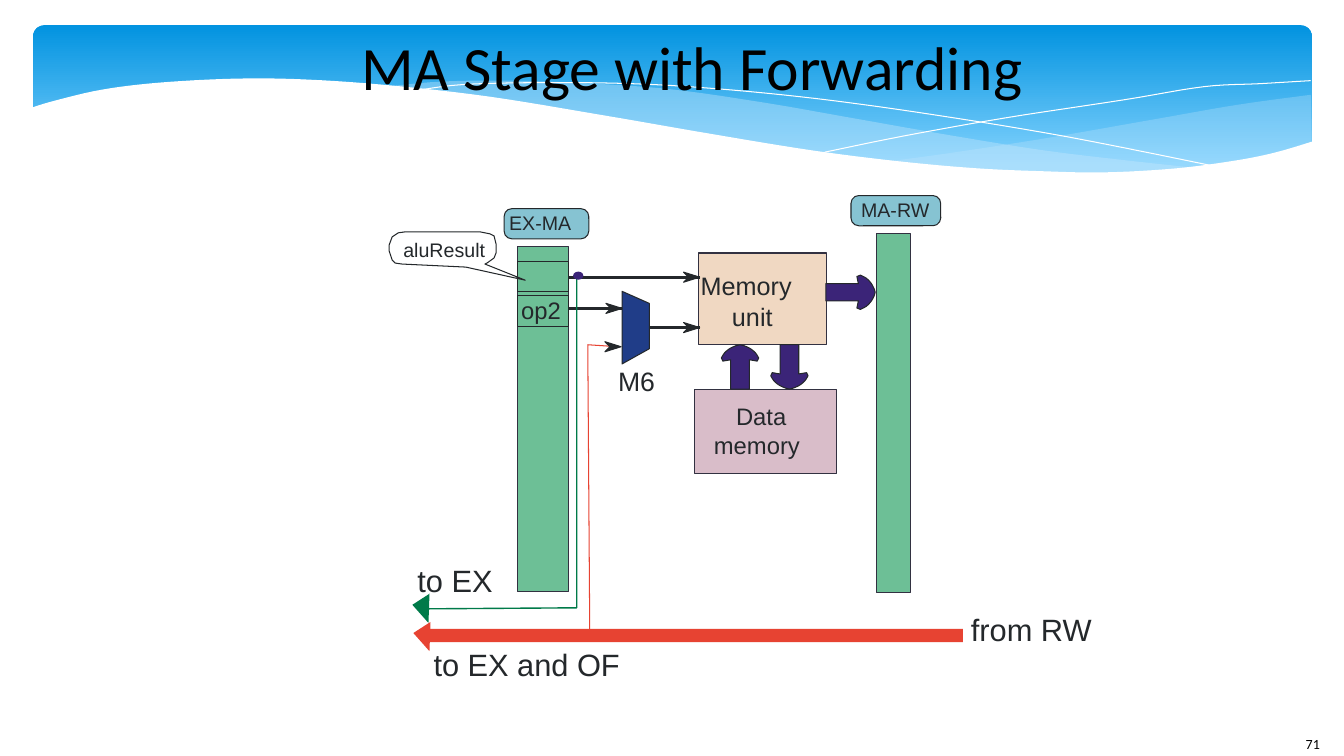
from lxml import etree
from pptx import Presentation
from pptx.dml.color import RGBColor
from pptx.enum.shapes import MSO_CONNECTOR, MSO_SHAPE
from pptx.enum.text import MSO_ANCHOR, PP_ALIGN
from pptx.oxml.ns import qn
from pptx.util import Inches, Pt

RECT, ROUND, OVAL = MSO_SHAPE.RECTANGLE, MSO_SHAPE.ROUNDED_RECTANGLE, MSO_SHAPE.OVAL
STRAIGHT = MSO_CONNECTOR.STRAIGHT
MIDDLE, CENTER = MSO_ANCHOR.MIDDLE, PP_ALIGN.CENTER

HUES = {
    "black": "000000", "white": "FFFFFF", "ink": "24282B", "edge": "323141",
    "sky": "0293E0", "pale": "83D3FE", "haze": "C6E7FC",
    "reg": "6DBF96", "tag": "86C3D2", "unit": "F0D8C2", "data": "D9BDC9",
    "violet": "3B2478", "navy": "203D88", "red": "E74332", "green": "007A49",
}

CREST = [(0, .82), (.23, .75), (.7, .64), (1.27, .57), (2.04, .53), (2.75, .54),
         (3.59, .6), (4.55, .71), (5.65, .89), (6.75, 1.08), (7.73, 1.24),
         (8.6, 1.35), (9.38, 1.42), (10.06, 1.45), (10.66, 1.46), (11.36, 1.42),
         (11.96, 1.34), (12.35, 1.26), (12.72, 1.15)]
RIGHT_TOP = [(12.69, .69), (11.96, .79), (11.16, .93), (10.07, 1.12), (9.1, 1.27),
             (8.51, 1.35)]
RIGHT_LOW = [(8.51, 1.35), (9.27, 1.42), (9.94, 1.46), (10.82, 1.47), (11.55, 1.41),
             (12.16, 1.31), (12.7, 1.17)]
MID_TOP = [(11.59, 1.42), (10.85, 1.34), (10.03, 1.24), (9.1, 1.09), (8.08, .91),
           (7.28, .77), (6.38, .64), (5.58, .58), (4.75, .55), (4.06, .56), (3.51, .61)]
MID_LOW = [(3.51, .61), (4.25, .69), (5.08, .81), (6.23, 1.01), (7.24, 1.18),
           (8.15, 1.31), (8.95, 1.4), (9.67, 1.45), (10.45, 1.48), (11.12, 1.46),
           (11.59, 1.42)]
FALL = [(3.81, .65), (4.27, .59), (5.04, .57), (5.94, .58), (6.79, .63), (7.8, .73),
        (8.96, .89), (10.29, 1.11), (11.79, 1.41)]
RISE = [(7.87, 1.26), (8.65, 1.1), (9.66, .92), (10.84, .74), (11.63, .61),
        (12.19, .58), (12.69, .55)]
# Upper half of a fat arrow: share of length, share of breadth
BARB = [(0, -.25), (.66, -.25), (.63, -.46), (.7, -.5), (.82, -.41), (.92, -.26), (.98, -.1)]
BUBBLE = [(.16, 0), (.9, 0), (1, .02), (1.04, .04), (1.06, .12), (1.06, .21),
          (1.04, .26), (.97, .31), (.95, .32), (1.35, .48), (.76, .35), (.13, .32),
          (.06, .31), (.03, .28), (0, .19), (0, .13), (.03, .05), (.09, .01)]


def rgb(name):
    return RGBColor.from_string(HUES[name])


def paint(shape, fill=None, line=None, width=0):
    shape.shadow.inherit = False
    if fill:
        shape.fill.solid()
        shape.fill.fore_color.rgb = rgb(fill)
    else:
        shape.fill.background()
    if line:
        shape.line.color.rgb = rgb(line)
        shape.line.width = Pt(width)
    else:
        shape.line.fill.background()
    return shape


def block(slide, kind, box, fill, line=None):
    shape = slide.shapes.add_shape(kind, *map(Inches, box))
    return paint(shape, fill, line)


def outline(slide, x, y, points, fill=None, line=None, width=0):
    """Draw a freeform from points offset from x, y; it is closed when filled."""
    dots = [(Inches(x + dx), Inches(y + dy)) for dx, dy in points]
    pen = slide.shapes.build_freeform(*dots[0], scale=1.0)
    pen.add_line_segments(dots[1:], close=bool(fill))
    return paint(pen.convert_to_shape(), fill, line, width)


def smooth(knots, steps=6):
    """Return points on a Catmull-Rom curve through the knots."""
    ends = [knots[0], *knots, knots[-1]]
    curve = []
    for a, b, c, d in zip(ends, ends[1:], ends[2:], ends[3:]):
        for t in (i / steps for i in range(steps)):
            curve.append(tuple(
                .5 * (2 * q + (r - p) * t + (2 * p - 5 * q + 4 * r - s) * t ** 2
                      + (3 * q - p - 3 * r + s) * t ** 3)
                for p, q, r, s in zip(a, b, c, d)))
    return curve + [knots[-1]]


def label(slide, text, x, y, w, size, hue="ink", font="Arial"):
    box = slide.shapes.add_textbox(*map(Inches, (x, y, w, size / 60)))
    frame = box.text_frame
    frame.word_wrap = False
    frame.margin_left = frame.margin_right = frame.margin_top = frame.margin_bottom = 0
    para = frame.paragraphs[0]
    para.text = text
    para.font.name, para.font.size = font, Pt(size)
    para.font.color.rgb = rgb(hue)


def header(slide, x, y):
    band = block(slide, ROUND, (x + .02, y, 12.68, 1.56), "sky")
    band.adjustments[0] = .07
    band.fill.gradient()
    band.fill.gradient_angle = 270
    for stop, hue, place in zip(band.fill.gradient_stops, ("sky", "pale"), (0, .9)):
        stop.color.rgb, stop.position = rgb(hue), place
    for top, low, alpha in ((RIGHT_TOP, RIGHT_LOW, 29), (MID_TOP, MID_LOW, 40)):
        veil = outline(slide, x, y, smooth(top) + smooth(low), "haze")
        tint = next(veil.fill._xPr.iter(qn("a:srgbClr")))
        etree.SubElement(tint, qn("a:alpha")).set("val", str(alpha * 1000))
    for knots in (FALL, RISE):
        outline(slide, x, y, smooth(knots), line="white")
    outline(slide, x, y, smooth(CREST) + [(12.72, 1.99), (0, 1.99)], "white")


def heading(slide, text, box):
    title = slide.shapes.title
    title.left, title.top, title.width, title.height = map(Inches, box)
    frame = title.text_frame
    frame.margin_left = frame.margin_right = frame.margin_top = frame.margin_bottom = 0
    frame.vertical_anchor = MIDDLE
    para = frame.paragraphs[0]
    para.text, para.alignment = text, CENTER
    para.font.name, para.font.size = "Calibri", Pt(44)
    para.font.color.rgb = rgb("black")
    slide.shapes._spTree.append(title._element)  # in front of the header


def register(slide, name, box, tag, inset):
    """Draw a pipeline register with its name tag above."""
    block(slide, RECT, box, "reg", "edge")
    plate = block(slide, ROUND, tag, "tag", "ink")
    plate.adjustments[0] = .26
    label(slide, name, tag[0] + inset, tag[1] + .02, tag[2] - 2 * inset, 14)


def unit(slide, box, hue, size, words):
    block(slide, RECT, box, hue, "edge")
    for text, dx, dy, w in words:
        label(slide, text, box[0] + dx, box[1] + dy, w, size)


def arrow(slide, x, y, way, length, width):
    """Draw a fat arrow from the middle of its tail, along the unit vector way."""
    half = [(u * length, v * width) for u, v in smooth(BARB[3:], 3)]
    half = [(u * length, v * width) for u, v in BARB[:3]] + half
    full = half + [(length, 0)] + [(u, -v) for u, v in reversed(half)]
    ux, uy = way
    outline(slide, x, y, [(u * ux - v * uy, u * uy + v * ux) for u, v in full],
            "violet", "ink")


def tip(slide, x, y):
    outline(slide, x, y, [(0, 0), (-.16, .05), (-.11, 0), (-.16, -.05)], "ink", "ink")


def wire(slide, start, end, y):
    line = slide.shapes.add_connector(STRAIGHT, *map(Inches, (start, y, end, y)))
    line.line.color.rgb, line.line.width = rgb("ink"), Pt(0)
    etree.SubElement(line._element.spPr, qn("a:effectLst"))
    tip(slide, end, y)


def field(slide, box):
    block(slide, RECT, box, "reg", "ink")


def mux(slide, x, y):
    outline(slide, x, y, [(0, 0), (0, .72), (.27, .57), (.27, .12)], "navy", "ink")
    label(slide, "M6", x - .04, y + .73, .37, 19)


def callout(slide, x, y):
    outline(slide, x, y, BUBBLE, "white", "ink")
    label(slide, "aluResult", x + .14, y + .06, .82, 14)


def buses(slide, x, y):
    """Draw the forwarding paths from the left end of the red bus."""
    block(slide, RECT, (x + .11, y, 5.34, .13), "red")
    outline(slide, x, y, [(1.75, .03), (1.73, -2.82), (2.03, -2.8)], line="red")
    tip(slide, x + 2.06, y - 2.8)
    outline(slide, x, y, [(1.62, -3.49), (1.62, -.21), (.1, -.2)], line="green", width=1)
    for dx, dy, hue in ((0, .04, "red"), (-.01, -.24, "green")):
        outline(slide, x + dx, y + dy, [(0, 0), (.17, -.11), (.16, .18)], hue)
    for text, dx, dy, w in (("from RW", 5.53, -.18, 1.21), ("to EX", .04, -.67, .75),
                            ("to EX and OF", .2, .17, 1.87)):
        label(slide, text, x + dx, y + dy, w, 22)


def main():
    deck = Presentation()
    deck.slide_width, deck.slide_height = Inches(13.33), Inches(7.5)
    slide = deck.slides.add_slide(deck.slide_layouts[5])
    header(slide, .31, .25)
    heading(slide, "MA Stage with Forwarding", (2.81, .14, 8.11, 1.02))
    label(slide, "71", 12.95, 7.3, .15, 10, "black", "Calibri")

    register(slide, "EX-MA", (5.13, 2.45, .51, 3.42), (5, 2.07, .84, .3), .05)
    register(slide, "MA-RW", (8.69, 2.32, .34, 3.56), (8.44, 1.94, .89, .3), .1)
    unit(slide, (6.93, 2.51, 1.27, .91), "unit", 18,
         (("Memory", .02, .17, .91), ("unit", .33, .48, .41)))
    unit(slide, (6.89, 3.86, 1.41, .84), "data", 17,
         (("Data", .41, .13, .51), ("memory", .19, .41, .86)))
    arrow(slide, 8.19, 2.9, (1, 0), .49, .34)
    arrow(slide, 7.34, 3.86, (0, -1), .44, .37)
    arrow(slide, 7.83, 3.42, (0, 1), .44, .37)

    mux(slide, 6.17, 2.89)
    for start, end, y in ((6.44, 6.94, 3.25), (5.62, 6.17, 3.06), (5.62, 6.94, 2.75)):
        wire(slide, start, end, y)
    buses(slide, 4.1, 6.24)
    field(slide, (5.13, 2.93, .51, .31))
    label(slide, "op2", 5.17, 2.93, .4, 17)
    field(slide, (5.13, 2.59, .51, .3))
    callout(slide, 3.86, 2.3)
    block(slide, OVAL, (5.69, 2.7, .09, .07), "violet", "violet")
    deck.save("out.pptx")


if __name__ == "__main__":
    main()
